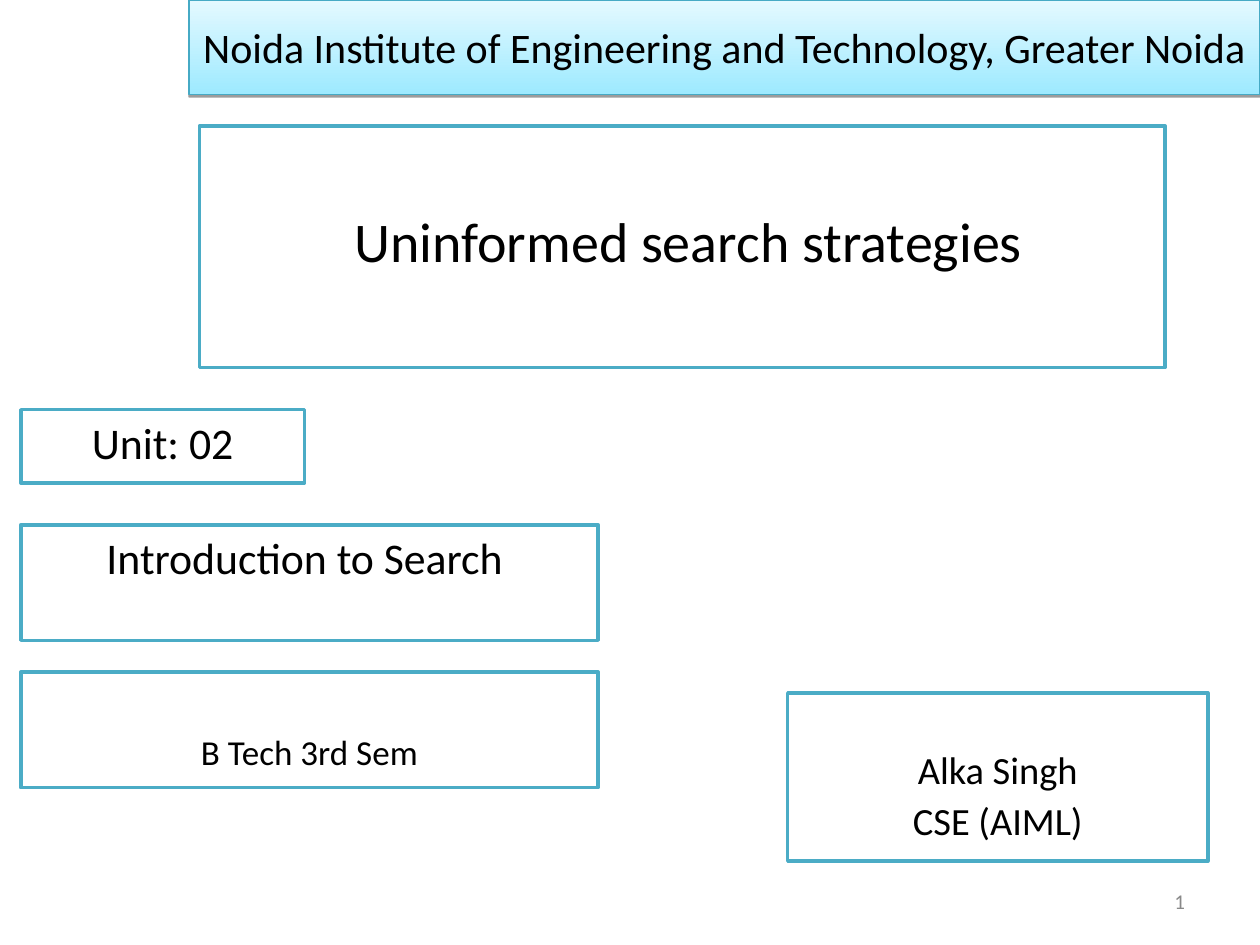
from dataclasses import dataclass
from typing import Any

from lxml.etree import SubElement
from pptx import Presentation
from pptx.dml.color import RGBColor
from pptx.enum.shapes import MSO_SHAPE
from pptx.enum.text import MSO_ANCHOR, PP_ALIGN
from pptx.oxml.ns import qn
from pptx.util import Cm, Pt

COLORS = {
    "text": "000000",
    "number": "898989",
    "panel": "FFFFFF",
    "border": "4BACC6",
    "banner_border": "46AAC5",
    "banner_bottom": "9EEAFF",
    "banner_top": "E4F9FF",
    "shadow": "000000",
}


def color(name):
    return RGBColor.from_string(COLORS[name])


@dataclass
class SlideBuilder:
    page: Any
    font: str = "Calibri"
    border_width: float = 2
    side_inset: float = 0.25
    top_inset: float = 0.13

    def add_lines(self, box, lines, size, ink="text", align=PP_ALIGN.CENTER,
                  anchor=MSO_ANCHOR.TOP, spacing=None, gap=0, **insets):
        """Fill a box with paragraphs; insets are in centimetres."""
        frame = box.text_frame
        margins = {"margin_left": self.side_inset, "margin_right": self.side_inset,
                   "margin_top": self.top_inset, "margin_bottom": self.top_inset}
        for name, length in (margins | insets).items():
            setattr(frame, name, Cm(length))
        frame.word_wrap = True
        frame.vertical_anchor = anchor
        for index, line in enumerate(lines):
            para = frame.paragraphs[0] if index == 0 else frame.add_paragraph()
            para_format = {"alignment": align, "line_spacing": spacing,
                           "space_before": Pt(gap if index else 0)}
            for name, value in para_format.items():
                setattr(para, name, value)
            span = para.add_run()
            span.text = line
            for name, value in {"name": self.font, "size": Pt(size)}.items():
                setattr(span.font, name, value)
            span.font.color.rgb = color(ink)

    def rectangle(self, place, border, width):
        box = self.page.shapes.add_shape(MSO_SHAPE.RECTANGLE, *map(Cm, place))
        box.shadow.inherit = False
        box.line.color.rgb = color(border)
        box.line.width = Pt(width)
        return box

    def panel(self, place, lines, size, **text_format):
        box = self.rectangle(place, "border", self.border_width)
        box.fill.solid()
        box.fill.fore_color.rgb = color("panel")
        self.add_lines(box, lines, size, **text_format)

    def banner(self, place, line, size):
        box = self.rectangle(place, "banner_border", 0.75)
        box.fill.gradient()
        box.fill.gradient_angle = 90
        for stop, name in zip(box.fill.gradient_stops, ("banner_bottom", "banner_top")):
            stop.color.rgb = color(name)
        self.drop_shadow(box)
        self.add_lines(box, [line], size, anchor=MSO_ANCHOR.MIDDLE,
                       margin_left=0.2, margin_right=0.2)

    def drop_shadow(self, box):
        effects = box._element.spPr.find(qn("a:effectLst"))
        shadow = SubElement(effects, qn("a:outerShdw"), blurRad="0",
                            dist=str(Pt(1.6)), dir="5400000", rotWithShape="0")
        tint = SubElement(shadow, qn("a:srgbClr"), val=COLORS["shadow"])
        SubElement(tint, qn("a:alpha"), val="38000")

    def page_number(self, place, number):
        box = self.page.shapes.add_textbox(*map(Cm, place))
        self.add_lines(box, [number], 12, ink="number", align=PP_ALIGN.RIGHT,
                       anchor=MSO_ANCHOR.MIDDLE)


def main():
    deck = Presentation()
    deck.slide_width, deck.slide_height = Cm(25.4), Cm(19.05)
    builder = SlideBuilder(deck.slides.add_slide(deck.slide_layouts[6]))

    builder.banner((3.81, 0, 21.59, 1.9),
                   "Noida Institute of Engineering and Technology, Greater Noida", 24)
    builder.panel((4.02, 2.54, 19.47, 4.87), ["Uninformed search strategies"], 32,
                  margin_top=1.62, margin_left=0.5)
    builder.panel((15.88, 13.97, 8.47, 3.39), ["Alka Singh", "CSE (AIML)"], 22,
                  spacing=0.9, gap=5.5, margin_top=1.17)
    builder.page_number((18.21, 17.65, 5.93, 1.02), "1")

    left = 0.42
    builder.panel((left, 8.26, 5.72, 1.48), ["Unit: 02"], 25)
    builder.panel((left, 10.58, 11.64, 2.33), ["Introduction to Search"], 25,
                  margin_right=0.45)
    builder.panel((left, 13.55, 11.64, 2.33), ["B Tech 3rd Sem"], 20, margin_top=1.17)

    deck.save("out.pptx")


if __name__ == "__main__":
    main()
